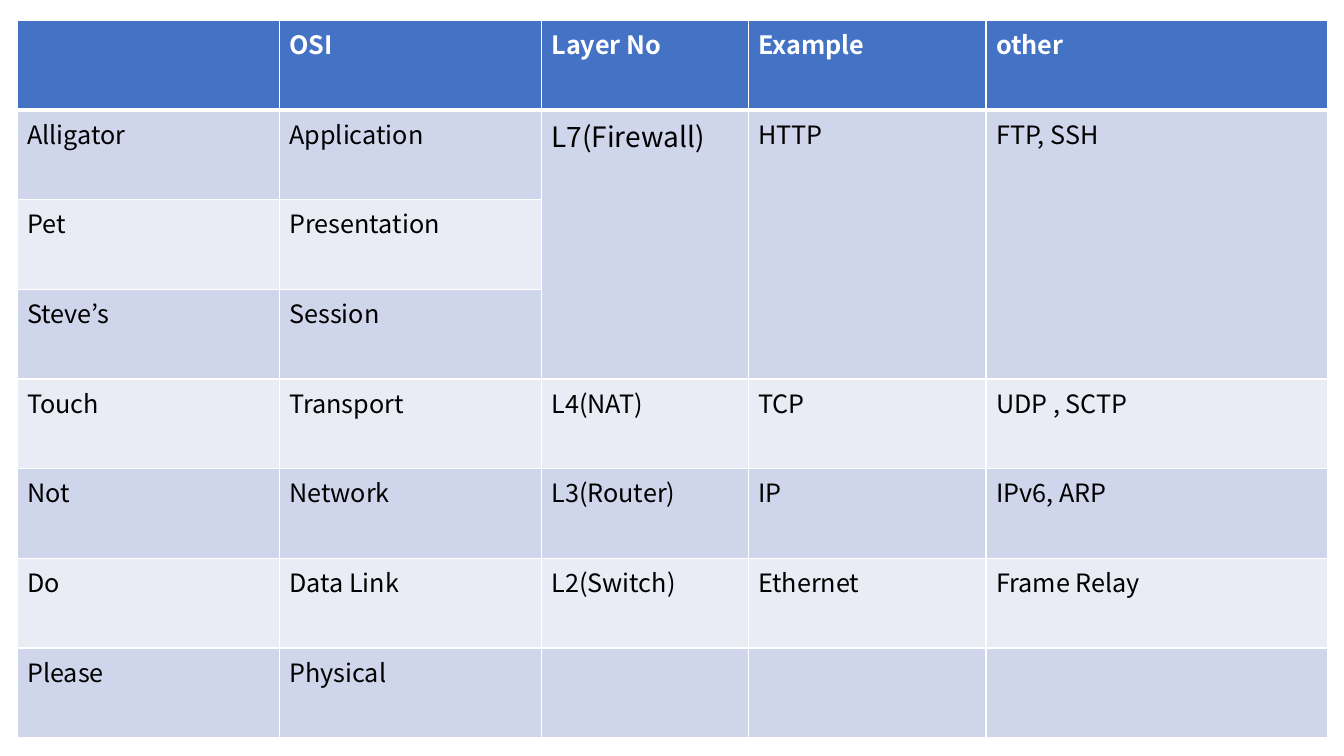
"""Build a slide that sums up the OSI layers in one table."""
from dataclasses import dataclass

from lxml import etree
from pptx import Presentation
from pptx import util as u
from pptx.dml.color import RGBColor
from pptx.oxml import ns


@dataclass(frozen=True)
class Theme:
    """Colours, type and line widths of the slide."""
    font: str = "Noto Sans CJK KR"
    body_size: int = 18
    accent_size: int = 20
    header_fill: str = "4472C4"
    bands: tuple = ("CFD5EA", "E9EBF5")
    header_text: str = "FFFFFF"
    body_text: str = "000000"
    rule: str = "FFFFFF"
    thin: int = 1
    thick: int = 3


THEME = Theme()
HEADINGS = ("", "OSI", "Layer No", "Example", "other")
LAYERS = (
    ("Alligator", "Application", "L7(Firewall)", "HTTP", "FTP, SSH"),
    ("Pet", "Presentation", "", "", ""),
    ("Steve’s", "Session", "", "", ""),
    ("Touch ", "Transport", "L4(NAT)", "TCP", "UDP , SCTP"),
    ("Not", "Network", "L3(Router)", "IP", "IPv6, ARP "),
    ("Do", "Data Link", "L2(Switch)", "Ethernet", "Frame Relay"),
    ("Please", "Physical", "", "", ""),
)
COLUMN_WIDTHS = (2.6, 2.6, 2.05, 2.36, 3.39)
ROW_HEIGHT = 0.89
MERGED_COLUMNS = (2, 3, 4)
MERGED_ROWS = (1, 3)
ACCENT_CELL = (1, 2)


def add_borders(cell, row):
    """Rule all four sides, with a thick line under the header."""
    properties = cell._tc.get_or_add_tcPr()
    widths = {
        "L": THEME.thin,
        "R": THEME.thin,
        "T": THEME.thick if row == 1 else THEME.thin,
        "B": THEME.thick if row == 0 else THEME.thin,
    }
    for side, width in widths.items():
        line = etree.SubElement(properties, ns.qn(f"a:ln{side}"), w=str(u.Pt(width)))
        fill = etree.SubElement(line, ns.qn("a:solidFill"))
        etree.SubElement(fill, ns.qn("a:srgbClr"), val=THEME.rule)


def fill_cell(cell, row, column, wording):
    """Give one cell its borders, band colour and wording."""
    header = row == 0
    add_borders(cell, row)
    cell.fill.solid()
    band = THEME.header_fill if header else THEME.bands[(row - 1) % 2]
    cell.fill.fore_color.rgb = RGBColor.from_string(band)
    if not wording:
        return
    run = cell.text_frame.paragraphs[0].add_run()
    run.text = wording
    accented = (row, column) == ACCENT_CELL
    run.font.name = THEME.font
    run.font.size = u.Pt(THEME.accent_size if accented else THEME.body_size)
    run.font.bold = header
    colour = THEME.header_text if header else THEME.body_text
    run.font.color.rgb = RGBColor.from_string(colour)


def add_layer_table(slide):
    """Add the table of layers and join the cells of the top three."""
    rows = (HEADINGS, *LAYERS)
    frame = slide.shapes.add_table(
        len(rows), len(HEADINGS), u.Inches(0.17), u.Inches(0.2),
        u.Inches(sum(COLUMN_WIDTHS)), u.Inches(ROW_HEIGHT * len(rows)))
    layers = frame.table
    for column, width in zip(layers.columns, COLUMN_WIDTHS):
        column.width = u.Inches(width)
    for row in layers.rows:
        row.height = u.Inches(ROW_HEIGHT)
    for r, wordings in enumerate(rows):
        for c, wording in enumerate(wordings):
            fill_cell(layers.cell(r, c), r, c, wording)
    first, last = MERGED_ROWS
    for c in MERGED_COLUMNS:
        layers.cell(first, c).merge(layers.cell(last, c))


def main():
    """Create and save the presentation."""
    deck = Presentation()
    deck.slide_width = u.Inches(13.33)
    deck.slide_height = u.Inches(7.5)
    slide = deck.slides.add_slide(deck.slide_layouts[6])
    add_layer_table(slide)
    deck.save("out.pptx")


main()
